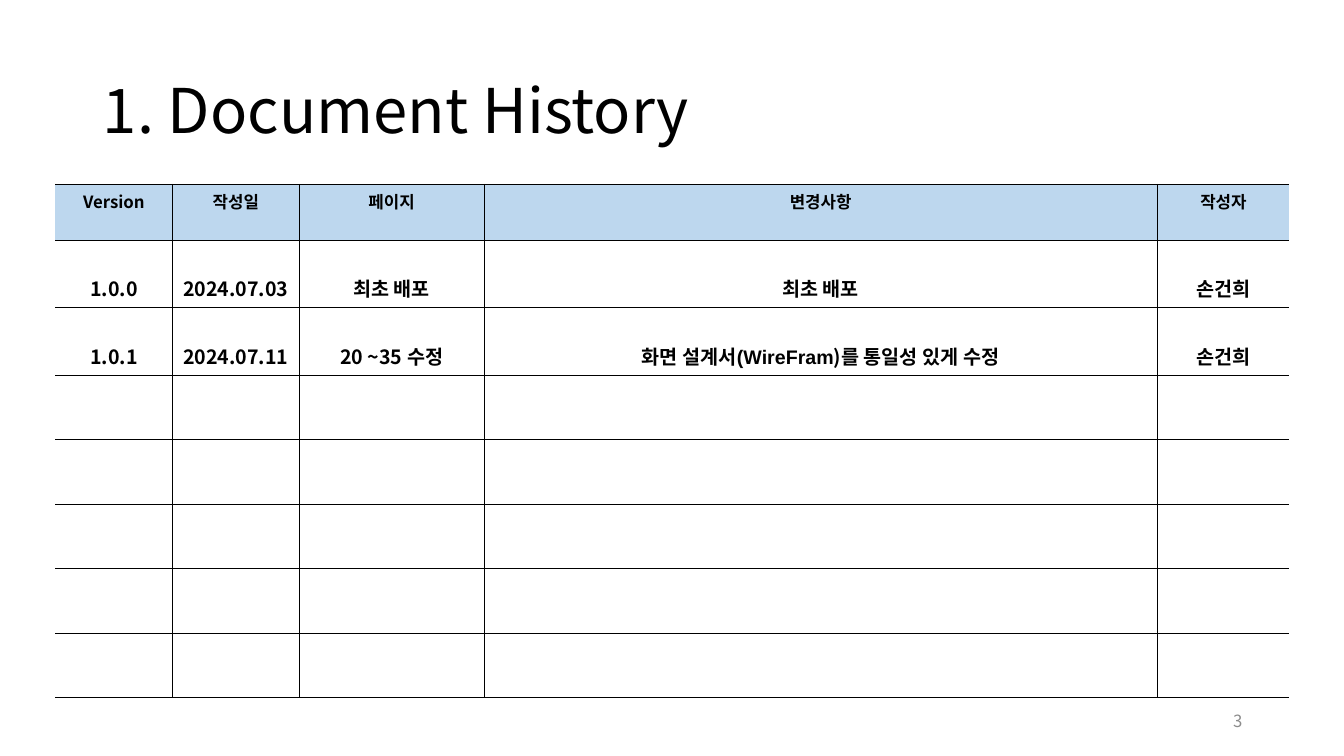
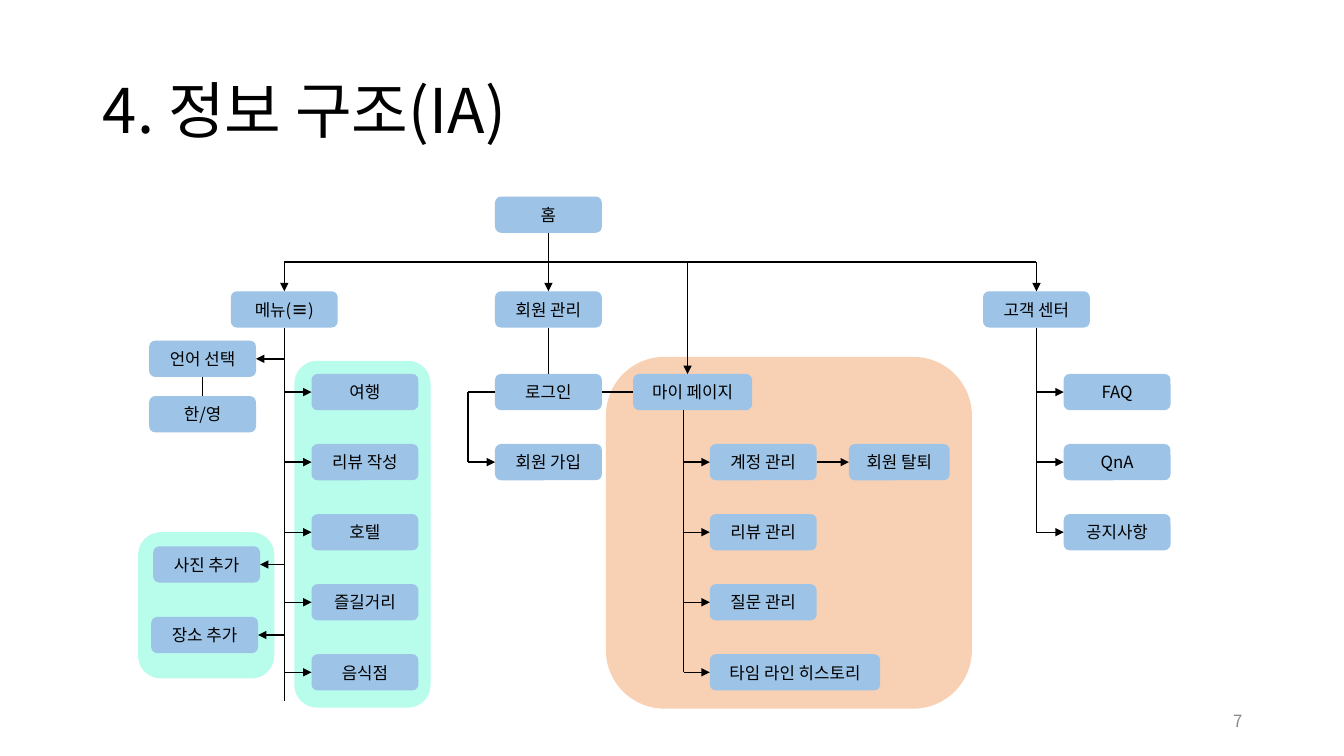
from lxml import etree
from pptx import Presentation
from pptx.dml.color import RGBColor
from pptx.enum.shapes import MSO_CONNECTOR, MSO_SHAPE
from pptx.enum.text import MSO_ANCHOR, PP_ALIGN
from pptx.oxml.ns import qn
from pptx.util import Inches, Pt

BLACK = RGBColor(0x00, 0x00, 0x00)
GRAY = RGBColor(0x8C, 0x8C, 0x8C)
HEADER_BLUE = RGBColor(0xBD, 0xD7, 0xEE)
BOX_BLUE = RGBColor(0x9D, 0xC3, 0xE6)
MINT = RGBColor(0x8A, 0xFA, 0xDF)
PEACH = RGBColor(0xF4, 0xB1, 0x83)

FONT = "Noto Sans CJK KR"
LATIN_FONT = "Arial"
LEFT, CENTER, RIGHT = PP_ALIGN.LEFT, PP_ALIGN.CENTER, PP_ALIGN.RIGHT
TOP, MIDDLE, BOTTOM = MSO_ANCHOR.TOP, MSO_ANCHOR.MIDDLE, MSO_ANCHOR.BOTTOM
ROUNDED = MSO_SHAPE.ROUNDED_RECTANGLE
STRAIGHT = MSO_CONNECTOR.STRAIGHT
SIDE_TOP, SIDE_LEFT, SIDE_BOTTOM, SIDE_RIGHT = range(4)
TITLE_ONLY = 5

BOX_WIDTH, BOX_HEIGHT = 1.06, 0.36
TIER_TOP = 2.89
FIRST_ROW = 0.82
ROW_GAP = 2.78 / 4

COLUMN_WIDTHS = (1.16, 1.26, 1.83, 6.68, 1.31)
ROW_HEIGHTS = (0.55, 0.67, 0.67) + (0.64,) * 5
HISTORY = (
    ("Version", "작성일", "페이지", "변경사항", "작성자"),
    ("1.0.0", "2024.07.03", "최초 배포", "최초 배포", "손건희"),
    ("1.0.1", "2024.07.11", "20 ~35 수정",
     (("화면 설계서(WireFram", {"font": LATIN_FONT}), (")를 통일성 있게 수정", {})),
     "손건희"),
)


def write_text(frame, text, size=12, color=BLACK, bold=False, align=CENTER,
               anchor=MIDDLE, line_spacing=None):
    """Write a string, or (string, overrides) runs, as one paragraph."""
    frame.word_wrap = True
    frame.vertical_anchor = anchor
    paragraph = frame.paragraphs[0]
    paragraph.alignment = align
    if line_spacing:
        paragraph.line_spacing = line_spacing
    for content, changes in ((text, {}),) if isinstance(text, str) else text:
        run = paragraph.add_run()
        run.text = content
        run.font.size = Pt(size)
        run.font.bold = changes.get("bold", bold)
        run.font.color.rgb = color
        run.font.name = changes.get("font", FONT)
        east_asian = etree.SubElement(run.font._element, qn("a:ea"))
        east_asian.set("typeface", FONT)


def add_titled_slide(presentation, title, number):
    """Add a slide with the shared title style and page number."""
    slide = presentation.slides.add_slide(presentation.slide_layouts[TITLE_ONLY])
    shape = slide.shapes.title
    shape.left, shape.top = Inches(0.92), Inches(0.4)
    shape.width, shape.height = Inches(11.5), Inches(1.45)
    write_text(shape.text_frame, title, size=44, align=LEFT, line_spacing=0.9)
    footer = slide.shapes.add_textbox(Inches(9.42), Inches(6.95), Inches(3), Inches(0.4))
    write_text(footer.text_frame, str(number), color=GRAY, align=RIGHT)
    return slide


def set_cell_border(cell, tag, width):
    """Draw one cell edge, or hide it when the width is zero."""
    edge = etree.SubElement(cell._tc.get_or_add_tcPr(), qn(tag))
    edge.set("w", str(Pt(width)))
    if width:
        fill = etree.SubElement(edge, qn("a:solidFill"))
        etree.SubElement(fill, qn("a:srgbClr")).set("val", str(BLACK))
    else:
        etree.SubElement(edge, qn("a:noFill"))


def add_history_table(slide, left, top):
    """Add the version table, open at its left and right ends."""
    last_row, last_column = len(ROW_HEIGHTS) - 1, len(COLUMN_WIDTHS) - 1
    table = slide.shapes.add_table(
        last_row + 1, last_column + 1, Inches(left), Inches(top),
        Inches(sum(COLUMN_WIDTHS)), Inches(sum(ROW_HEIGHTS))).table
    table.horz_banding = False
    table.first_row = False
    for column, width in zip(table.columns, COLUMN_WIDTHS):
        column.width = Inches(width)
    for row_index, height in enumerate(ROW_HEIGHTS):
        table.rows[row_index].height = Inches(height)
        for column_index in range(last_column + 1):
            cell = table.cell(row_index, column_index)
            set_cell_border(cell, "a:lnL", 0.5 if column_index > 0 else 0)
            set_cell_border(cell, "a:lnR", 0.5 if column_index < last_column else 0)
            set_cell_border(cell, "a:lnT", 0.5 if row_index > 0 else 1)
            set_cell_border(cell, "a:lnB", 0.5 if row_index < last_row else 1)
            is_header = row_index == 0
            if is_header:
                cell.fill.solid()
                cell.fill.fore_color.rgb = HEADER_BLUE
            else:
                cell.fill.background()
            if row_index < len(HISTORY):
                anchor = TOP if is_header else BOTTOM
                write_text(cell.text_frame, HISTORY[row_index][column_index],
                           size=12 if is_header else 14, bold=True, anchor=anchor)
                cell.vertical_anchor = anchor


def add_rounded(slide, left, top, width, height, color):
    """Add a plain rounded rectangle."""
    shape = slide.shapes.add_shape(
        ROUNDED, Inches(left), Inches(top), Inches(width), Inches(height))
    shape.shadow.inherit = False
    shape.fill.solid()
    shape.fill.fore_color.rgb = color
    shape.line.fill.background()
    return shape


def add_group_area(slide, left, top, width, height, color):
    """Add a translucent area behind related boxes."""
    shape = add_rounded(slide, left, top, width, height, color)
    color_element = shape._element.spPr.find(f"{qn('a:solidFill')}/{qn('a:srgbClr')}")
    etree.SubElement(color_element, qn("a:alpha")).set("val", "60000")


def add_box(slide, text, left, top, width=BOX_WIDTH):
    """Add one labelled box of the site map."""
    shape = add_rounded(slide, left, top, width, BOX_HEIGHT, BOX_BLUE)
    write_text(shape.text_frame, text)
    return shape


def add_line(slide, start, end, arrow=False):
    """Draw a line between two ends, each an (x, y) point or a (shape, side) joint."""
    joined = [not isinstance(place[0], (int, float)) for place in (start, end)]
    points = [0 if is_joint else Inches(value)
              for place, is_joint in zip((start, end), joined) for value in place]
    connector = slide.shapes.add_connector(STRAIGHT, *points)
    if joined[0]:
        connector.begin_connect(*start)
    if joined[1]:
        connector.end_connect(*end)
    connector.line.color.rgb = BLACK
    connector.line.width = Pt(1)
    if arrow:
        line_element = connector.line._get_or_add_ln()
        etree.SubElement(line_element, qn("a:tailEnd")).set("type", "triangle")
    etree.SubElement(connector._element.spPr, qn("a:effectLst"))


def add_branch(slide, trunk_x, box, side=SIDE_LEFT):
    """Point a horizontal arrow from a trunk to the side of a box."""
    middle = (box.top + box.height / 2) / Inches(1)
    add_line(slide, (trunk_x, middle), (box, side), arrow=True)


def row_top(top, row):
    """Return the top of a numbered row below a tier."""
    return top + FIRST_ROW + row * ROW_GAP


def row_middle(top, row):
    """Return the middle of a numbered row below a tier."""
    return row_top(top, row) + BOX_HEIGHT / 2


def add_row_boxes(slide, labels, trunk_x, left, top, first_row=0):
    """Stack boxes on the rows and branch to each from a trunk."""
    boxes = []
    for row, label in enumerate(labels, first_row):
        boxes.append(add_box(slide, label, left, row_top(top, row)))
        add_branch(slide, trunk_x, boxes[-1])
    return boxes


def add_menu_region(slide, left, top):
    """Add the menu tree and return its root box."""
    trunk_x = left + 1.45
    add_group_area(slide, left, top + 2.39, 1.35, 1.45, MINT)
    add_group_area(slide, left + 1.55, top + 0.69, 1.35, 3.44, MINT)
    menu = add_box(slide, (("메뉴(", {}), ("≡", {"bold": True}), (")", {})),
                   left + 0.92, top)
    add_line(slide, (menu, SIDE_BOTTOM), (trunk_x, top + 4.06))
    add_row_boxes(slide, ("여행", "리뷰 작성", "호텔", "즐길거리", "음식점"),
                  trunk_x, left + 1.72, top)
    language = add_box(slide, "언어 선택", left + 0.11, top + 0.49)
    choices = add_box(slide, "한/영", left + 0.11, top + 1.04)
    add_line(slide, (language, SIDE_BOTTOM), (choices, SIDE_TOP))
    photo = add_box(slide, "사진 추가", left + 0.15, top + 2.53)
    place = add_box(slide, "장소 추가", left + 0.13, top + 3.23)
    for box in (language, photo, place):
        add_branch(slide, trunk_x, box, SIDE_RIGHT)
    return menu


def add_member_region(slide, left, top):
    """Add the member boxes and return the root and login boxes."""
    member = add_box(slide, "회원 관리", left + 0.27, top)
    login = add_box(slide, "로그인", left + 0.27, row_top(top, 0))
    add_line(slide, (member, SIDE_BOTTOM), (login, SIDE_TOP))
    add_line(slide, (login, SIDE_LEFT), (left, row_middle(top, 0)))
    add_line(slide, (left, row_middle(top, 0)), (left, row_middle(top, 1)))
    add_row_boxes(slide, ("회원 가입",), left, left + 0.27, top, first_row=1)
    return member, login


def add_my_page_region(slide, left, top):
    """Add the personal page tree and return its root box."""
    trunk_x = left + 0.77
    add_group_area(slide, left, top + 0.65, 3.63, 3.49, PEACH)
    my_page = add_box(slide, "마이 페이지", left + 0.27, row_top(top, 0), width=1.18)
    add_line(slide, (trunk_x, row_top(top, 0) + BOX_HEIGHT), (trunk_x, row_middle(top, 4)))
    account = add_row_boxes(slide, ("계정 관리", "리뷰 관리", "질문 관리"),
                            trunk_x, left + 1.03, top, first_row=1)[0]
    timeline = add_box(slide, "타임 라인 히스토리", left + 1.03, row_top(top, 4), width=1.69)
    add_branch(slide, trunk_x, timeline)
    withdrawal = add_box(slide, "회원 탈퇴", left + 2.41, row_top(top, 1), width=1)
    add_line(slide, (account, SIDE_RIGHT), (withdrawal, SIDE_LEFT), arrow=True)
    return my_page


def add_support_region(slide, left, top):
    """Add the customer centre tree and return its root box."""
    trunk_x = left + BOX_WIDTH / 2
    support = add_box(slide, "고객 센터", left, top)
    add_line(slide, (support, SIDE_BOTTOM), (trunk_x, row_middle(top, 2)))
    add_row_boxes(slide, ("FAQ", "QnA", "공지사항"), trunk_x, left + 0.8, top)
    return support


def add_site_map(slide):
    """Add the home box and join it to the four regions."""
    bar_y = 2.6
    home = add_box(slide, "홈", 4.91, 1.95)
    menu = add_menu_region(slide, 1.37, TIER_TOP)
    member, login = add_member_region(slide, 4.64, TIER_TOP)
    my_page = add_my_page_region(slide, 6.01, TIER_TOP)
    support = add_support_region(slide, 9.75, TIER_TOP)
    bar_ends = [(box.left + box.width / 2) / Inches(1) for box in (menu, support)]
    add_line(slide, (bar_ends[0], bar_y), (bar_ends[1], bar_y))
    for x, box in zip(bar_ends, (menu, support)):
        add_line(slide, (x, bar_y), (box, SIDE_TOP), arrow=True)
    add_line(slide, (home, SIDE_BOTTOM), (member, SIDE_TOP), arrow=True)
    add_line(slide, (6.82, bar_y), (6.82, row_top(TIER_TOP, 0)), arrow=True)
    add_line(slide, (login, SIDE_RIGHT), (my_page, SIDE_LEFT))


def main():
    """Build and save the two slides."""
    presentation = Presentation()
    presentation.slide_width, presentation.slide_height = Inches(13.33), Inches(7.5)
    add_history_table(add_titled_slide(presentation, "1. Document History", 3), 0.55, 1.83)
    add_site_map(add_titled_slide(presentation, "4. 정보 구조(IA)", 7))
    presentation.save("out.pptx")


if __name__ == "__main__":
    main()
